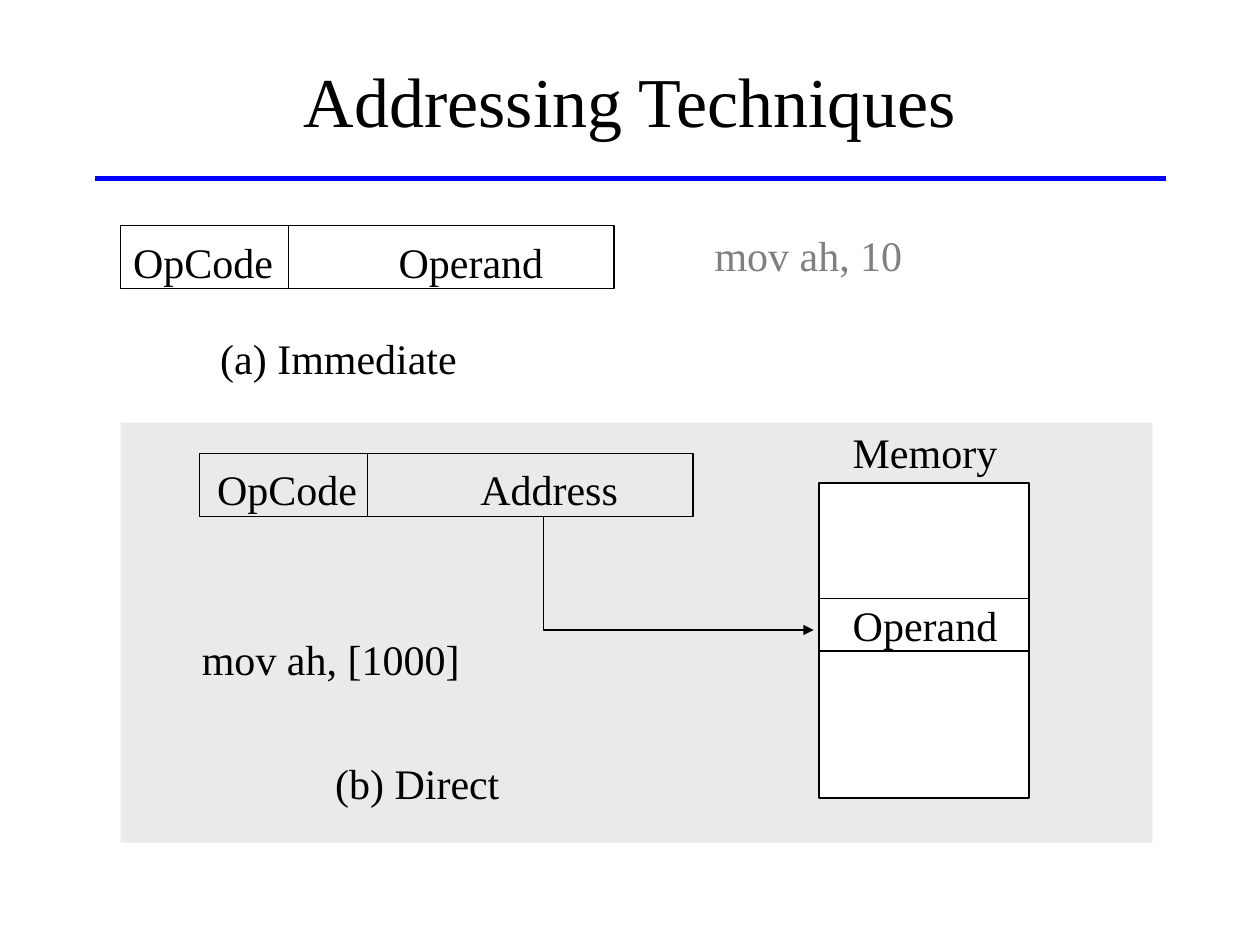
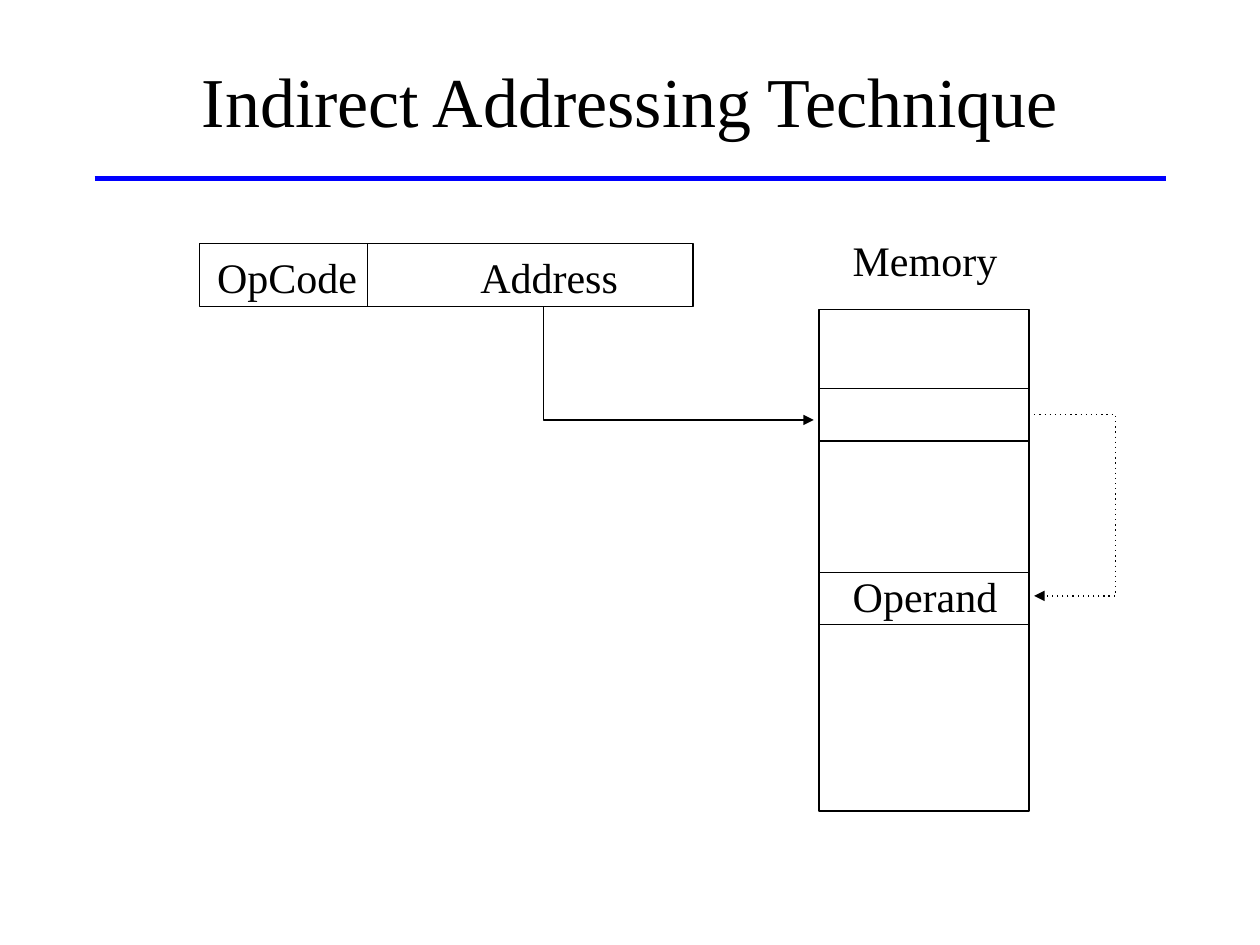
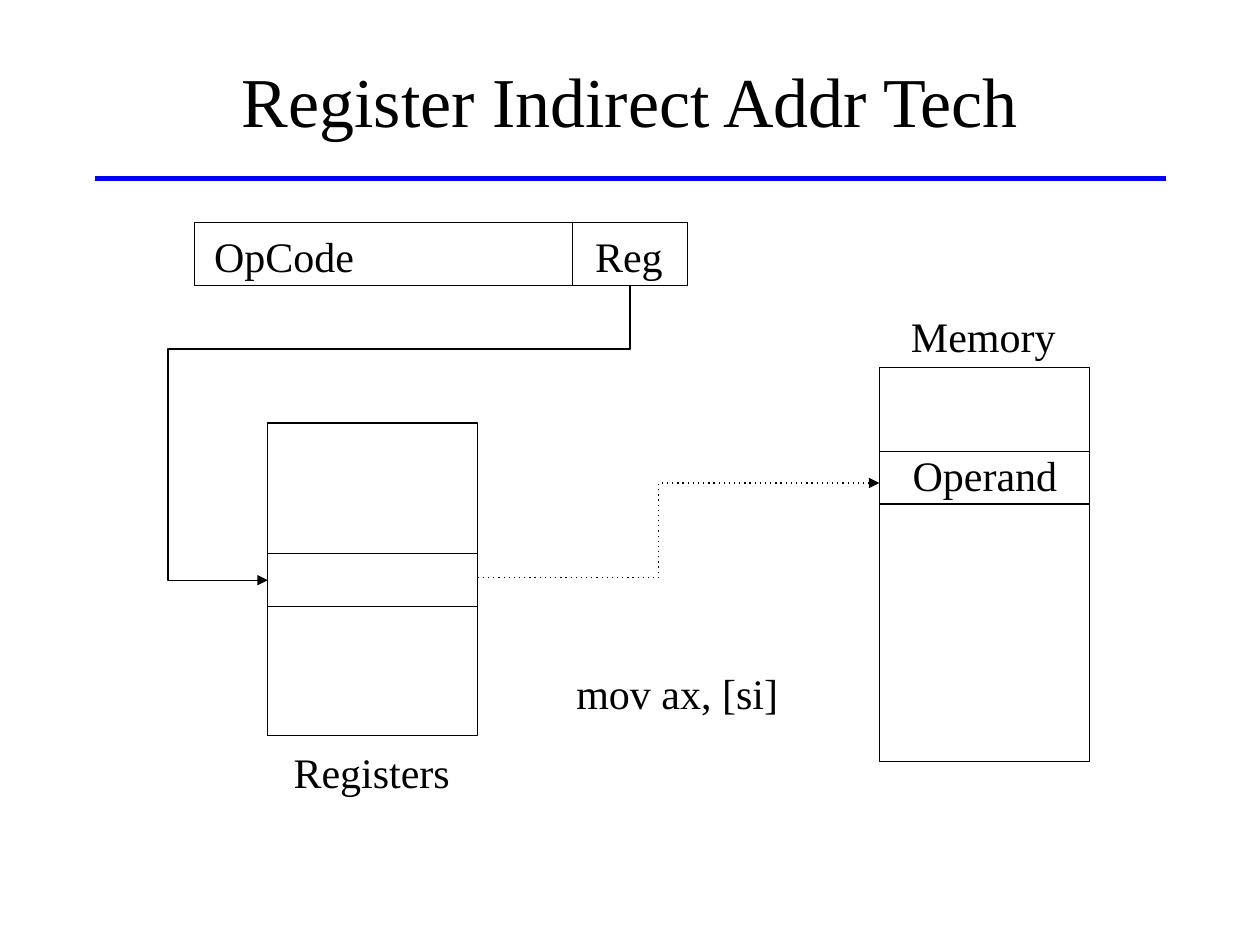
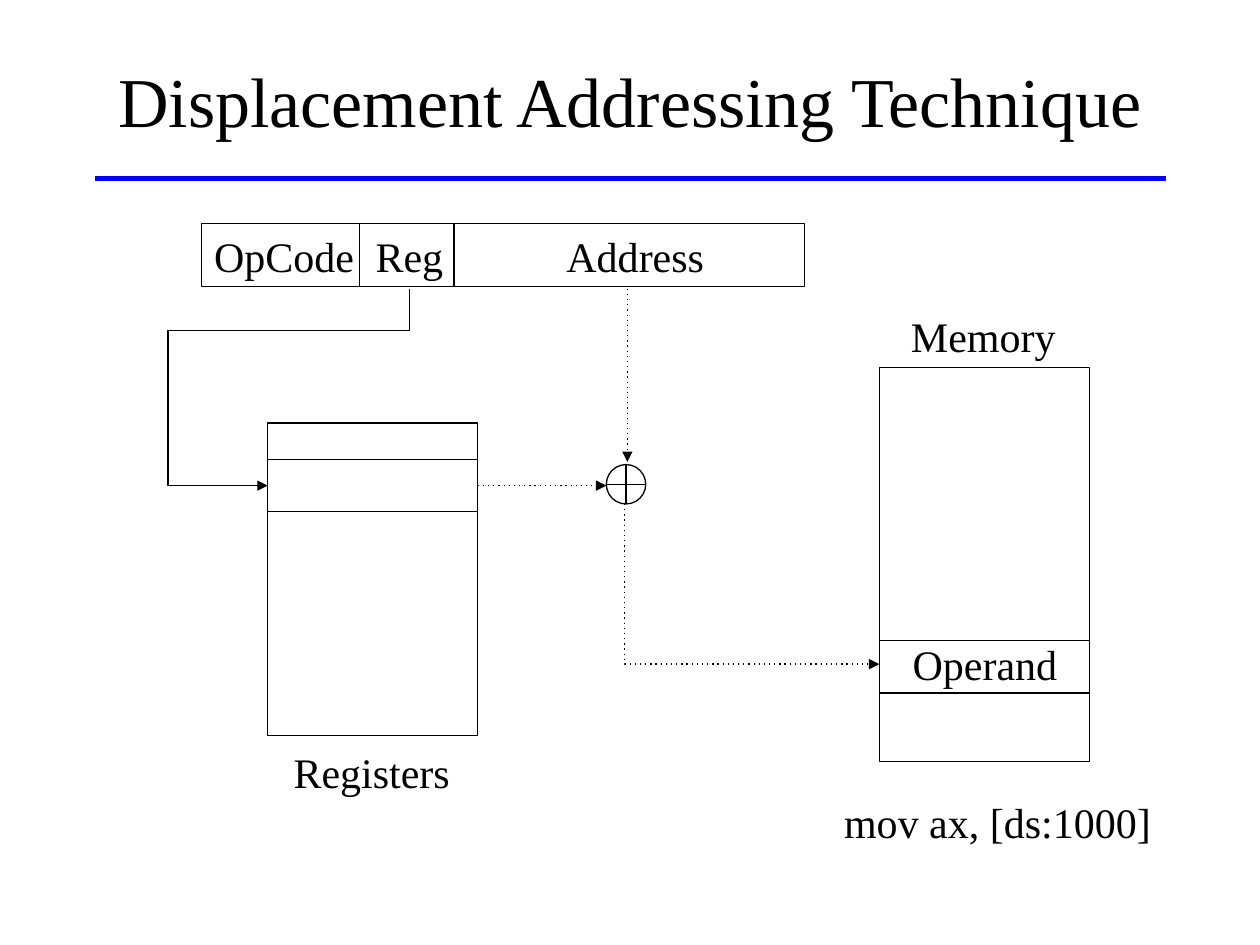
from dataclasses import dataclass
from lxml import etree
from pptx import Presentation
from pptx import util as u
from pptx.dml.color import RGBColor
from pptx.enum import shapes, text
from pptx.oxml.ns import qn


@dataclass(frozen=True)
class Theme:
    font: str = "Times New Roman"
    title: int = 40
    body: int = 24
    thin: float = 0.75
    thick: float = 3
    ink: RGBColor = RGBColor(0, 0, 0)
    muted: RGBColor = RGBColor(0x80, 0x80, 0x80)
    rule: RGBColor = RGBColor(0, 0, 0xFF)
    panel: RGBColor = RGBColor(0xEA, 0xEA, 0xEA)
    paper: RGBColor = RGBColor(0xFF, 0xFF, 0xFF)


T = Theme()

# The slide is a grid of 240 columns by 180 rows
G = u.Inches(10) // 240
BANK_W, SLOT_H, FIELD_H, LABEL_H = 40, 10, 12, 12
RECT, OVAL = shapes.MSO_SHAPE.RECTANGLE, shapes.MSO_SHAPE.OVAL


def draw_line(s, points, dotted=False, arrow=False, color=T.ink, width=T.thin):
    """Draw a straight or bent open line through grid points."""
    pts = [(int(x * G), int(y * G)) for x, y in points]
    if len(pts) == 2:
        sp = s.shapes.add_connector(shapes.MSO_CONNECTOR.STRAIGHT, *pts[0], *pts[1])
    else:
        outline = s.shapes.build_freeform(*pts[0])
        outline.add_line_segments(pts[1:], close=False)
        sp = outline.convert_to_shape()
        sp.fill.background()
    sp.line.color.rgb = color
    sp.line.width = u.Pt(width)
    props = sp.element.spPr
    ln = props.find(qn("a:ln"))
    if dotted:
        etree.SubElement(ln, qn("a:prstDash"), val="dot")
    if arrow:
        etree.SubElement(ln, qn("a:tailEnd"), type="triangle")
    etree.SubElement(props, qn("a:effectLst"))
    return sp


def draw_box(s, kind, x, y, w, h, fill=None, line=T.ink):
    """Draw a preset shape at a grid position."""
    sp = s.shapes.add_shape(kind, *(int(v * G) for v in (x, y, w, h)))
    sp.shadow.inherit = False
    if fill is None:
        sp.fill.background()
    else:
        sp.fill.solid()
        sp.fill.fore_color.rgb = fill
    if line is None:
        sp.line.fill.background()
    else:
        sp.line.color.rgb = line
        sp.line.width = u.Pt(T.thin)


# Slide contents, in grid units
# panels: x, y, w, h          fields: x, y, w, dividers
# banks: x, y, h, slot tops   arrows: dotted, points
# adders: x, y, size          labels: text, centre x, centre y, optional colour
SLIDES = [
    dict(
        title="Addressing Techniques",
        panels=[(23, 80.5, 196.5, 80)],
        fields=[(23, 43, 94, [55]), (38, 86.4, 94, [70])],
        banks=[(156, 92, 60, [114])],
        arrows=[(False, [(103.5, 98.5), (103.5, 120), (155, 120)])],
        labels=[
            ("OpCode", 38.7, 49.9), ("Operand", 89.7, 49.9),
            ("mov ah, 10", 154, 48.5, T.muted), ("(a) Immediate", 64.5, 68.1),
            ("OpCode", 54.7, 93), ("Address", 104.6, 93),
            ("Memory", 176.2, 86), ("Operand", 176.2, 119),
            ("mov ah, [1000]", 63, 125.5), ("(b) Direct", 79.5, 149),
        ],
    ),
    dict(
        title="Indirect Addressing Technique",
        fields=[(38, 46.4, 94, [70])],
        banks=[(156, 59, 95.5, [74, 109])],
        arrows=[
            (False, [(103.5, 58.5), (103.5, 80), (155, 80)]),
            (True, [(197, 79), (212.5, 79), (212.5, 113.5), (197, 113.5)]),
        ],
        labels=[
            ("OpCode", 54.7, 52.8), ("Address", 104.6, 52.8),
            ("Memory", 176.2, 49.5), ("Operand", 176.2, 113.5),
        ],
    ),
    dict(
        title="Register Indirect Addr Tech",
        fields=[(37, 42.4, 94, [109])],
        banks=[(51, 80.6, 59.5, [105.5]), (167.5, 70, 75, [86])],
        arrows=[
            (False, [(120, 54.5), (120, 66.5), (32, 66.5), (32, 110.5), (51, 110.5)]),
            (True, [(91, 110), (125.5, 110), (125.5, 92), (167.5, 92)]),
        ],
        labels=[
            ("OpCode", 54.1, 48.8), ("Reg", 119.8, 48.8),
            ("Registers", 70.8, 147), ("Memory", 187.3, 64),
            ("Operand", 187.6, 90.5), ("mov ax, [si]", 129, 132),
        ],
    ),
    dict(
        title="Displacement Addressing Technique",
        fields=[(38.4, 42.6, 114.8, [68.5, 86.5])],
        banks=[(51, 80.6, 59.5, [87.5]), (167.5, 70, 75, [122])],
        adders=[(115.5, 88.5, 7.5)],
        arrows=[
            (False, [(78, 55), (78, 63), (32, 63), (32, 92.5), (51, 92.5)]),
            (True, [(119.5, 55), (119.5, 88)]),
            (True, [(91, 92.5), (115.5, 92.5)]),
            (True, [(119, 96), (119, 126.5), (167.5, 126.5)]),
        ],
        labels=[
            ("OpCode", 54.1, 48.8), ("Reg", 78, 48.8), ("Address", 121, 48.8),
            ("Registers", 70.8, 147), ("Memory", 187.3, 64),
            ("Operand", 187.6, 126.5), ("mov ax, [ds:1000]", 190, 156.5),
        ],
    ),
]

prs = Presentation()
prs.slide_width, prs.slide_height = 240 * G, 180 * G
layout = prs.slide_layouts[5]

# Shared title position
title = layout.placeholders[0]
title.left, title.top, title.width, title.height = 18 * G, 4 * G, 204 * G, 30 * G

for number, spec_of in enumerate(SLIDES):
    s = prs.slides.add_slide(layout)

    # Shared rule under the title, moved to the layout once
    if number == 0:
        rule = draw_line(s, [(18, 34), (222, 34)], color=T.rule, width=T.thick)
        layout.shapes.element.append(rule.element)

    # Title
    tf = s.shapes.title.text_frame
    tf.text = spec_of["title"]
    tf.auto_size = text.MSO_AUTO_SIZE.NONE
    tf.vertical_anchor = text.MSO_ANCHOR.MIDDLE
    p = tf.paragraphs[0]
    p.alignment = text.PP_ALIGN.CENTER
    p.font.name, p.font.size = T.font, u.Pt(T.title)
    p.font.color.rgb = T.ink

    # Background panels
    for x, y, w, h in spec_of.get("panels", []):
        draw_box(s, RECT, x, y, w, h, T.panel, None)

    # Instruction formats with their dividers
    for x, y, w, dividers in spec_of["fields"]:
        draw_box(s, RECT, x, y, w, FIELD_H)
        for d in dividers:
            draw_line(s, [(d, y + FIELD_H), (d, y)])

    # Memory and register banks with their slots
    for x, y, h, slots in spec_of["banks"]:
        draw_box(s, RECT, x, y, BANK_W, h, T.paper)
        for top in slots:
            for edge in (top, top + SLOT_H):
                draw_line(s, [(x, edge), (x + BANK_W, edge)])

    # Adders: a circle with a cross
    for x, y, size in spec_of.get("adders", []):
        draw_box(s, OVAL, x, y, size, size, T.paper)
        mid = size / 2
        draw_line(s, [(x, y + mid), (x + size, y + mid)])
        draw_line(s, [(x + mid, y), (x + mid, y + size)])

    # Arrows
    for dotted, points in spec_of["arrows"]:
        draw_line(s, points, dotted, arrow=True)

    # Labels, as wide as their wording needs
    for words, cx, cy, *color in spec_of["labels"]:
        w = 14 + 3.2 * len(words)
        box = (cx - w / 2, cy - LABEL_H / 2, w, LABEL_H)
        tf = s.shapes.add_textbox(*(int(v * G) for v in box)).text_frame
        tf.word_wrap = True
        tf.vertical_anchor = text.MSO_ANCHOR.MIDDLE
        p = tf.paragraphs[0]
        p.text = words
        p.alignment = text.PP_ALIGN.CENTER
        p.font.name, p.font.size = T.font, u.Pt(T.body)
        p.font.color.rgb = color[0] if color else T.ink

prs.save("out.pptx")
